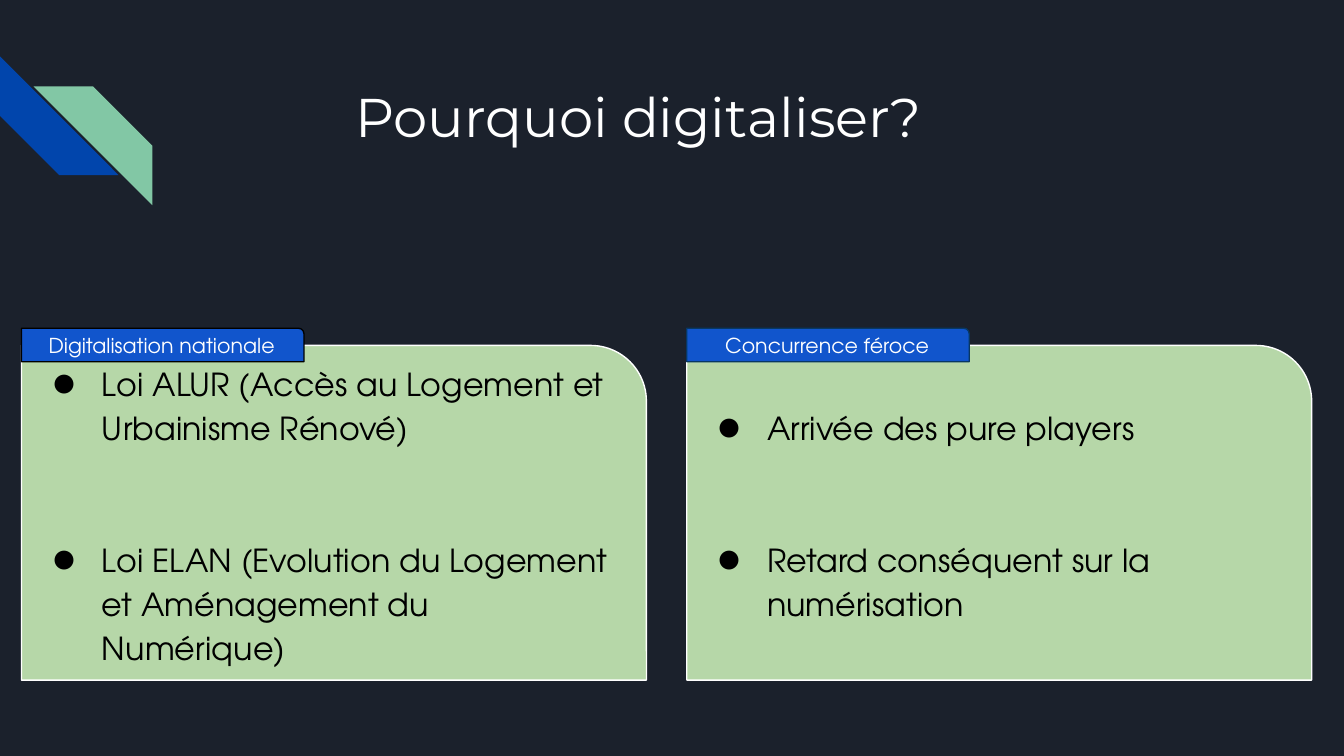
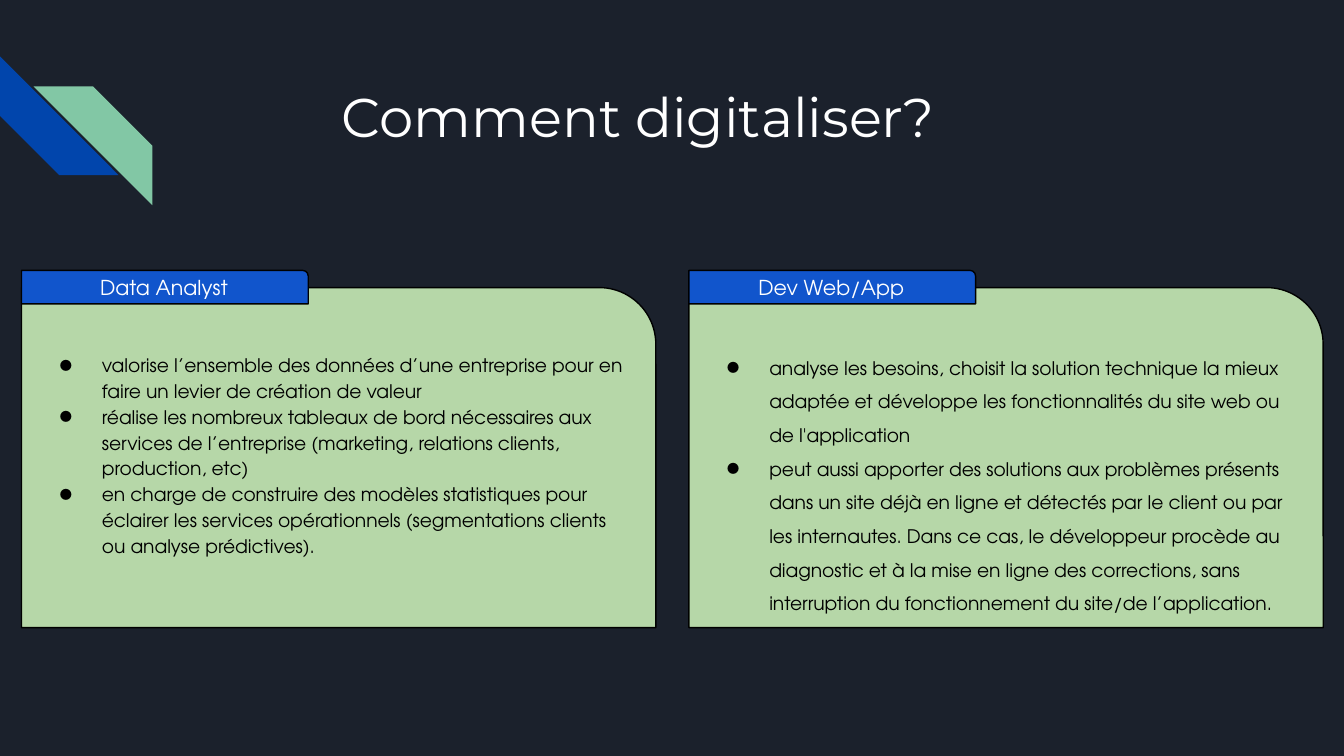
from lxml.etree import SubElement
from pptx import Presentation
from pptx.dml.color import RGBColor
from pptx.enum.shapes import MSO_SHAPE
from pptx.enum.text import MSO_ANCHOR, PP_ALIGN
from pptx.oxml.ns import qn
from pptx.util import Inches, Pt

WIDTH = Inches(10)
HEIGHT = int(WIDTH * 9 / 16)
NIGHT, BLUE, MINT = "1B212C", "0145AC", "82C7A5"
CARD, TAB, NAVY = "B6D7A8", "1155CC", "073763"
WHITE, BLACK = "FFFFFF", "000000"
TITLE_FONT, BODY_FONT = "Montserrat", "TeX Gyre Adventor"
LEFT = 1.6
TAB_SHARE, TAB_HEIGHT, TAB_RISE = 0.452, 4.44, 2.27


def rgb(color):
    return RGBColor.from_string(color)


def place(x, y, w, h):
    return (int(WIDTH * x / 100), int(HEIGHT * y / 100),
            int(WIDTH * w / 100), int(HEIGHT * h / 100))


def add_filled(s, kind, box, fill, line=None):
    sp = s.shapes.add_shape(kind, *place(*box))
    sp.shadow.inherit = False
    sp.fill.solid()
    sp.fill.fore_color.rgb = rgb(fill)
    if line:
        sp.line.color.rgb = rgb(line)
        sp.line.width = Pt(0.75)
    else:
        sp.line.fill.background()
    return sp


def set_frame(tf, anchor, top=0.1):
    tf.word_wrap = True
    tf.vertical_anchor = anchor
    tf.margin_left = tf.margin_right = tf.margin_bottom = Inches(0.1)
    tf.margin_top = Inches(top)


def write(p, text, size, font, color, align):
    p.text = text
    p.alignment = align
    for r in p.runs:
        r.font.size = Pt(size)
        r.font.name = font
        r.font.color.rgb = rgb(color)


def add_bullet(p, indent):
    pPr = p._p.get_or_add_pPr()
    pPr.set("marL", str(Inches(0.5)))
    pPr.set("indent", str(-Inches(indent)))
    color = SubElement(pPr, qn("a:buClr"))
    SubElement(color, qn("a:srgbClr")).set("val", BLACK)
    SubElement(pPr, qn("a:buFont")).set("typeface", BODY_FONT)
    SubElement(pPr, qn("a:buChar")).set("char", "●")


def add_stripes(s):
    blue = add_filled(s, MSO_SHAPE.DIAGONAL_STRIPE, (0, 7.47, 8.84, 15.7), BLUE)
    blue.rotation = 270
    mint = add_filled(s, MSO_SHAPE.DIAGONAL_STRIPE, (2.5, 11.44, 8.84, 15.7), MINT)
    mint.element.spPr.find(qn("a:xfrm")).set("flipH", "1")


def add_title(s, text):
    tf = s.shapes.add_textbox(*place(0.9, 9.24, 93.2, 18.13)).text_frame
    set_frame(tf, MSO_ANCHOR.TOP)
    write(tf.paragraphs[0], text, 29.2, TITLE_FONT, WHITE, PP_ALIGN.CENTER)


def add_card(s, box, label, items, line, tab_line, size, spacing, indent,
             gap=0, anchor=MSO_ANCHOR.MIDDLE, top=0.1):
    x, y, w, h = box
    tf = add_filled(s, MSO_SHAPE.ROUND_1_RECTANGLE, box, CARD, line).text_frame
    set_frame(tf, anchor, top)
    for i, item in enumerate(items):
        p = tf.add_paragraph() if i else tf.paragraphs[0]
        write(p, item, size, BODY_FONT, BLACK, PP_ALIGN.LEFT)
        p.line_spacing = spacing
        p.space_before = Pt(gap if i else 0)
        add_bullet(p, indent)
    tab_box = (x, y - TAB_RISE, w * TAB_SHARE, TAB_HEIGHT)
    tf = add_filled(s, MSO_SHAPE.ROUND_1_RECTANGLE, tab_box, TAB, tab_line).text_frame
    set_frame(tf, MSO_ANCHOR.MIDDLE)
    write(tf.paragraphs[0], label, 11, BODY_FONT, WHITE, PP_ALIGN.CENTER)


def add_slide(prs, title):
    s = prs.slides.add_slide(prs.slide_layouts[6])
    s.background.fill.solid()
    s.background.fill.fore_color.rgb = rgb(NIGHT)
    add_stripes(s)
    add_title(s, title)
    return s


def add_reasons(prs):
    s = add_slide(prs, "Pourquoi digitaliser?")
    cards = [
        (LEFT, "Digitalisation nationale", BLACK,
         ["Loi ALUR (Accès au Logement et Urbainisme Rénové)",
          "Loi ELAN (Evolution du Logement et Aménagement du Numérique)"]),
        (51.1, "Concurrence féroce", NAVY,
         ["Arrivée des pure players",
          "Retard conséquent sur la numérisation"]),
    ]
    for x, label, tab_line, items in cards:
        add_card(s, (x, 45.69, 46.5, 44.27), label, items, WHITE, tab_line,
                 size=17, spacing=1.15, indent=0.37, gap=47.5)


def add_roles(prs):
    s = add_slide(prs, "Comment digitaliser?")
    cards = [
        (LEFT, "Data Analyst", 1.15, 0.47,
         ["valorise l’ensemble des données d’une entreprise pour en faire un "
          "levier de création de valeur",
          "réalise les nombreux tableaux de bord nécessaires aux services de "
          "l’entreprise (marketing, relations clients, production, etc)",
          "en charge de construire des modèles statistiques pour éclairer les "
          "services opérationnels (segmentations clients ou analyse prédictives)."]),
        (51.25, "Dev Web/App", 1.5, 0.43,
         ["analyse les besoins, choisit la solution technique la mieux adaptée "
          "et développe les fonctionnalités du site web ou de l'application",
          "peut aussi apporter des solutions aux problèmes présents dans un site "
          "déjà en ligne et détectés par le client ou par les internautes. Dans "
          "ce cas, le développeur procède au diagnostic et à la mise en ligne "
          "des corrections, sans interruption du fonctionnement du site/de "
          "l’application."]),
    ]
    for x, label, spacing, top, items in cards:
        add_card(s, (x, 38.04, 47.2, 44.98), label, items, BLACK, BLACK,
                 size=10, spacing=spacing, indent=0.32,
                 anchor=MSO_ANCHOR.TOP, top=top)


def main():
    prs = Presentation()
    prs.slide_width, prs.slide_height = WIDTH, HEIGHT
    add_reasons(prs)
    add_roles(prs)
    prs.save("out.pptx")


if __name__ == "__main__":
    main()
